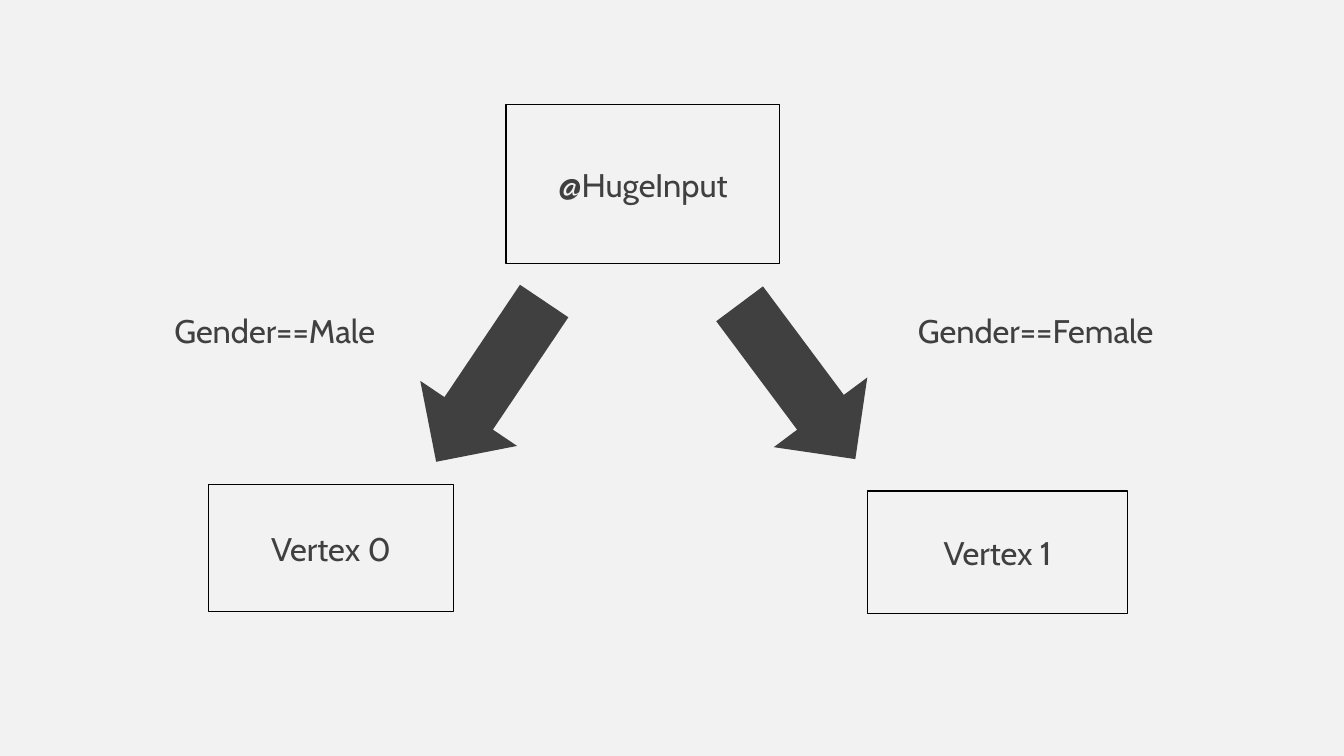
import pptx
import pptx.dml.color
import pptx.enum.shapes
import pptx.enum.text
import pptx.util

Inches = pptx.util.Inches
SHAPE = pptx.enum.shapes.MSO_SHAPE


def color(value):
    return pptx.dml.color.RGBColor.from_string(value)


class Diagram:
    """Holds the style and the current slide."""
    font, size = "Cabin", 23.8
    ink, paper, outline = "404040", "F2F2F2", "000000"

    def __init__(self, s):
        self.s = s
        s.background.fill.solid()
        s.background.fill.fore_color.rgb = color(self.paper)

    def set_text(self, sp, text):
        tf = sp.text_frame
        tf.word_wrap = True
        tf.vertical_anchor = pptx.enum.text.MSO_ANCHOR.MIDDLE
        p = tf.paragraphs[0]
        p.text = text
        p.alignment = pptx.enum.text.PP_ALIGN.CENTER
        font = p.runs[0].font
        font.name = self.font
        font.size = pptx.util.Pt(self.size)
        font.color.rgb = color(self.ink)

    def shape(self, kind, x, y, w, h, fill):
        sp = self.s.shapes.add_shape(
            kind, Inches(x), Inches(y), Inches(w), Inches(h))
        sp.shadow.inherit = False
        sp.fill.solid()
        sp.fill.fore_color.rgb = color(fill)
        return sp

    def box(self, text, x, y, w, h):
        sp = self.shape(SHAPE.RECTANGLE, x, y, w, h, self.paper)
        sp.line.color.rgb = color(self.outline)
        sp.line.width = pptx.util.Pt(1)
        self.set_text(sp, text)

    def arrow(self, x, y, w, h, rotation):
        sp = self.shape(SHAPE.DOWN_ARROW, x, y, w, h, self.ink)
        sp.line.fill.background()
        sp.rotation = rotation

    def label(self, text, x, y, w, h):
        sp = self.s.shapes.add_textbox(
            Inches(x), Inches(y), Inches(w), Inches(h))
        self.set_text(sp, text)


def main():
    prs = pptx.Presentation()
    prs.slide_width, prs.slide_height = Inches(13.6), Inches(7.65)
    d = Diagram(prs.slides.add_slide(prs.slide_layouts[6]))

    # Input and the two vertices
    d.box("@HugeInput", 5.12, 1.06, 2.77, 1.61)
    d.box("Vertex 0", 2.11, 4.9, 2.48, 1.29)
    d.box("Vertex 1", 8.78, 4.97, 2.63, 1.24)

    # Branches: condition and arrow for each side
    for text, label_x, arrow_x, rotation in (
            ("Gender==Male", 0.43, 4.37, 33.9),
            ("Gender==Female", 8.13, 7.48, 323.3)):
        d.label(text, label_x, 2.82, 4.7, 1.05)
        d.arrow(arrow_x, 2.88, 1.18, 1.96, rotation)

    prs.save("out.pptx")


if __name__ == "__main__":
    main()
